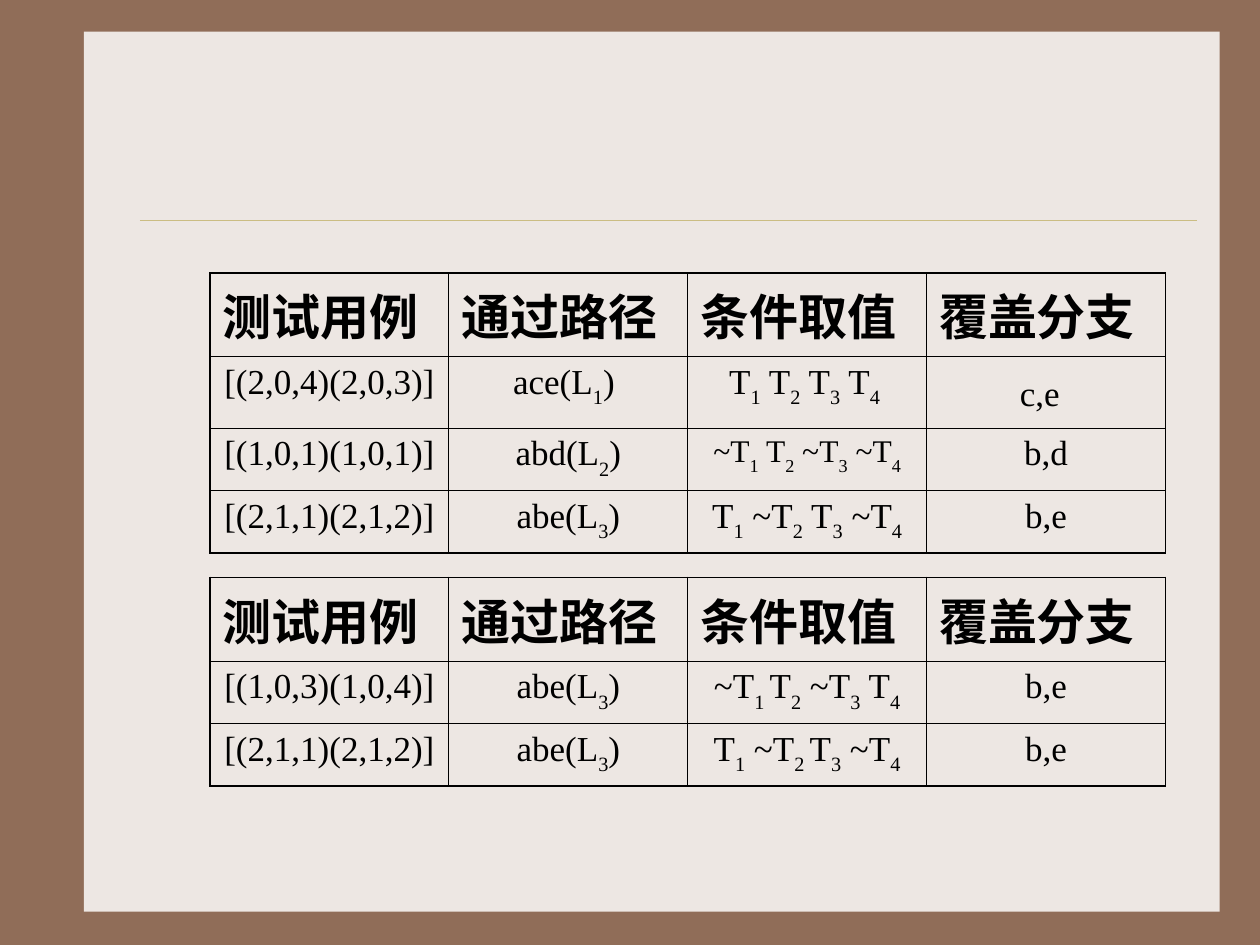
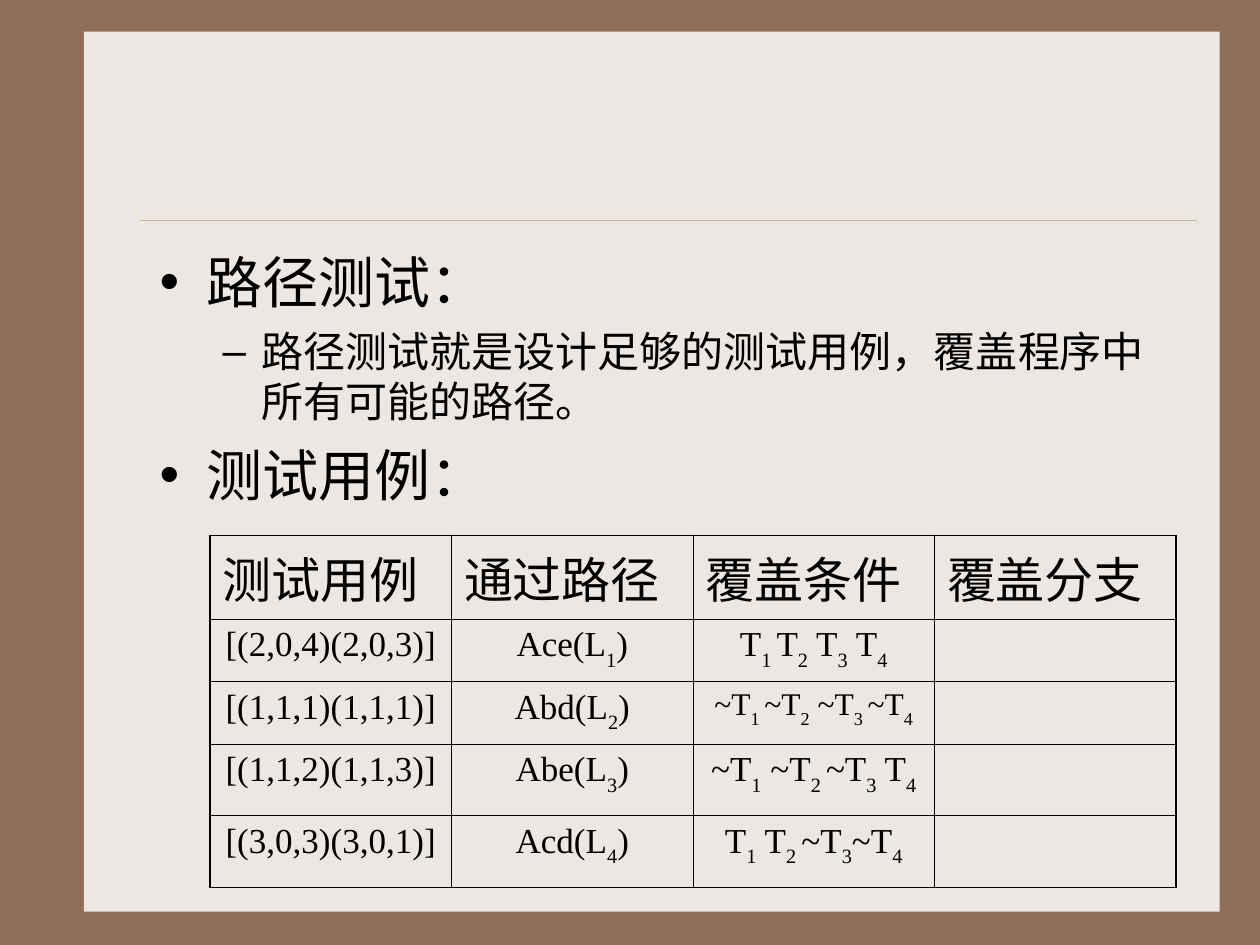
from dataclasses import dataclass

from lxml.etree import SubElement as Sub
from pptx import Presentation
from pptx.dml.color import RGBColor as Rgb
from pptx.enum.shapes import MSO_CONNECTOR as Link, MSO_SHAPE as Kind
from pptx.enum.text import MSO_AUTO_SIZE as Fit, PP_ALIGN as Align
from pptx.oxml.ns import qn
from pptx.util import Pt


@dataclass(frozen=True)
class Theme:
    """Colours, fonts, type sizes and line widths of the deck."""
    back: str = "906D58"
    panel: str = "EDE7E3"
    rule: str = "CBBD83"
    ink: str = "000000"
    latin: str = "Times New Roman"
    asian: str = "Noto Sans CJK SC"
    head: int = 28
    cell: int = 20
    small: int = 18
    list: tuple = (32, 24)
    outer: float = 1.08
    inner: float = 0.45
    thin: float = 0.25


T = Theme()
TALL, LOW = 41, 35.75

BRANCH = [
    ["测试用例", "通过路径", "条件取值", "覆盖分支"],
    ["[(2,0,4)(2,0,3)] ", "ace(L_1_) ", "T_1_ T_2_ T_3_ T_4 _", "c,e"],
    ["[(1,0,1)(1,0,1)]", "abd(L_2_)", "~T_1_ T_2_ ~T_3_ ~T_4_", "b,d"],
    ["[(2,1,1)(2,1,2)]", "abe(L_3_)", "T_1_ ~T_2_ T_3_ ~T_4_", "b,e"],
]
SECOND = [
    BRANCH[0],
    ["[(1,0,3)(1,0,4)]", "abe(L_3_)", "~T_1 _T_2_ ~T_3_ T_4_", "b,e"],
    ["[(2,1,1)(2,1,2)]", "abe(L_3_)", "T_1_ ~T_2 _T_3_ ~T_4_", "b,e"],
]
PATHS = [
    ["测试用例", "通过路径", "覆盖条件", "覆盖分支"],
    ["[(2,0,4)(2,0,3)]", "Ace(L_1_)", "T_1 _T_2_ T_3_ T_4_", ""],
    ["[(1,1,1)(1,1,1)]", "Abd(L_2_)", "~T_1 _~T_2_ ~T_3 _~T_4_", ""],
    ["[(1,1,2)(1,1,3)]", "Abe(L_3_)", "~T_1_ ~T_2 _~T_3_ T_4_", ""],
    ["[(3,0,3)(3,0,1)]", "Acd(L_4_)", "T_1_ T_2 _~T_3_~T_4_", ""],
]
POINTS = [
    (0, "路径测试："),
    (1, "路径测试就是设计足够的测试用例，覆盖程序中所有可能的路径。"),
    (0, "测试用例："),
]


def hue(code):
    """Turn a hex code into a colour."""
    return Rgb.from_string(code)


def add(para, text, size, face=T.latin, bold=False, sub=False):
    """Add one run to a paragraph."""
    run = para.add_run()
    run.text = text
    font = run.font
    font.size, font.name, font.bold = Pt(size), face, bold
    font.color.rgb = hue(T.ink)
    props = run._r.get_or_add_rPr()
    Sub(props, qn("a:ea")).set("typeface", T.asian)
    if sub:
        props.set("baseline", "-30000")


def edge(cell, sides):
    """Draw the borders of a cell from widths by side."""
    props = cell._tc.get_or_add_tcPr()
    for side, width in sides.items():
        line = Sub(props, qn(f"a:ln{side}"), w=str(Pt(width)))
        fill = Sub(line, qn("a:solidFill"))
        Sub(fill, qn("a:srgbClr"), val=T.ink)


def table(slide, box, rows, highs, bold=False, sizes=None):
    """Place a ruled table whose underscores enclose subscripts."""
    left, top, width = box
    sizes = sizes or {}
    count, span = len(rows), len(rows[0])
    grid = slide.shapes.add_table(
        count, span, Pt(left), Pt(top), Pt(width), Pt(sum(highs))).table
    grid.first_row = grid.horz_banding = False
    for col in grid.columns:
        col.width = Pt(width / span)
    for r, (row, high) in enumerate(zip(rows, highs)):
        grid.rows[r].height = Pt(high)
        for c, text in enumerate(row):
            cell = grid.cell(r, c)
            ends = {"L": c == 0, "R": c == span - 1, "T": r == 0, "B": r == count - 1}
            edge(cell, {k: T.outer if end else T.inner for k, end in ends.items()})
            cell.fill.background()
            para = cell.text_frame.paragraphs[0]
            if r == 0:
                add(para, text, T.head, T.asian if bold else T.latin, bold)
                continue
            para.alignment = Align.CENTER
            for n, part in enumerate(text.split("_")):
                if part:
                    add(para, part, sizes.get((r, c), T.cell), sub=n % 2 == 1)
    return grid


def points(slide, box, items):
    """Fill the body placeholder with a two-level list."""
    body = slide.placeholders[1]
    body.left, body.top, body.width, body.height = map(Pt, box)
    frame = body.text_frame
    frame.auto_size = Fit.NONE
    for n, (level, text) in enumerate(items):
        para = frame.add_paragraph() if n else frame.paragraphs[0]
        para.level = level
        size = T.list[level]
        para.space_before = Pt(size / 4 if n else 0)
        add(para, text, size, T.asian if level else T.latin)


def frame(deck, slide, box):
    """Put the backdrop, panel and title rule on the master."""
    left, top, width, height = box
    master = deck.slide_master
    fill = master.background.fill
    fill.solid()
    fill.fore_color.rgb = hue(T.back)
    panel = slide.shapes.add_shape(Kind.RECTANGLE, *map(Pt, box))
    panel.shadow.inherit = False
    panel.fill.solid()
    panel.fill.fore_color.rgb = hue(T.panel)
    panel.line.fill.background()
    high = Pt(top + 108)
    rule = slide.shapes.add_connector(
        Link.STRAIGHT, Pt(left + 32), high, Pt(left + width - 13), high)
    rule.line.color.rgb = hue(T.rule)
    rule.line.width = Pt(T.thin)
    Sub(rule.element.spPr, qn("a:effectLst"))
    for n, part in enumerate((panel, rule)):
        master.element.cSld.spTree.insert(2 + n, part.element)


def branch(slide, left, top):
    """Build the two tables of branch and condition cases."""
    grid = table(slide, (left, top, 546), BRANCH, (TALL, TALL, LOW, LOW),
                 True, {(2, 2): T.small})
    add(grid.cell(1, 3).text_frame.paragraphs[0], " ", T.head)
    table(slide, (left, top + 174, 546), SECOND, (TALL, LOW, LOW), True)


def paths(slide, left, top):
    """Build the path testing list and its table of cases."""
    title = slide.shapes.title.element
    title.getparent().remove(title)
    points(slide, (left, top, 600, 324), POINTS)
    table(slide, (left + 36, top + 168, 552), PATHS,
          (TALL, LOW, LOW, TALL, TALL), sizes={(2, 2): T.small})


def main():
    """Build and save the deck."""
    deck = Presentation()
    deck.slide_width, deck.slide_height = Pt(720), Pt(540)
    first = deck.slides.add_slide(deck.slide_layouts[6])
    frame(deck, first, (48, 18, 649, 503))
    branch(first, 120, 156)
    paths(deck.slides.add_slide(deck.slide_layouts[1]), 84, 138)
    deck.save("out.pptx")


if __name__ == "__main__":
    main()
